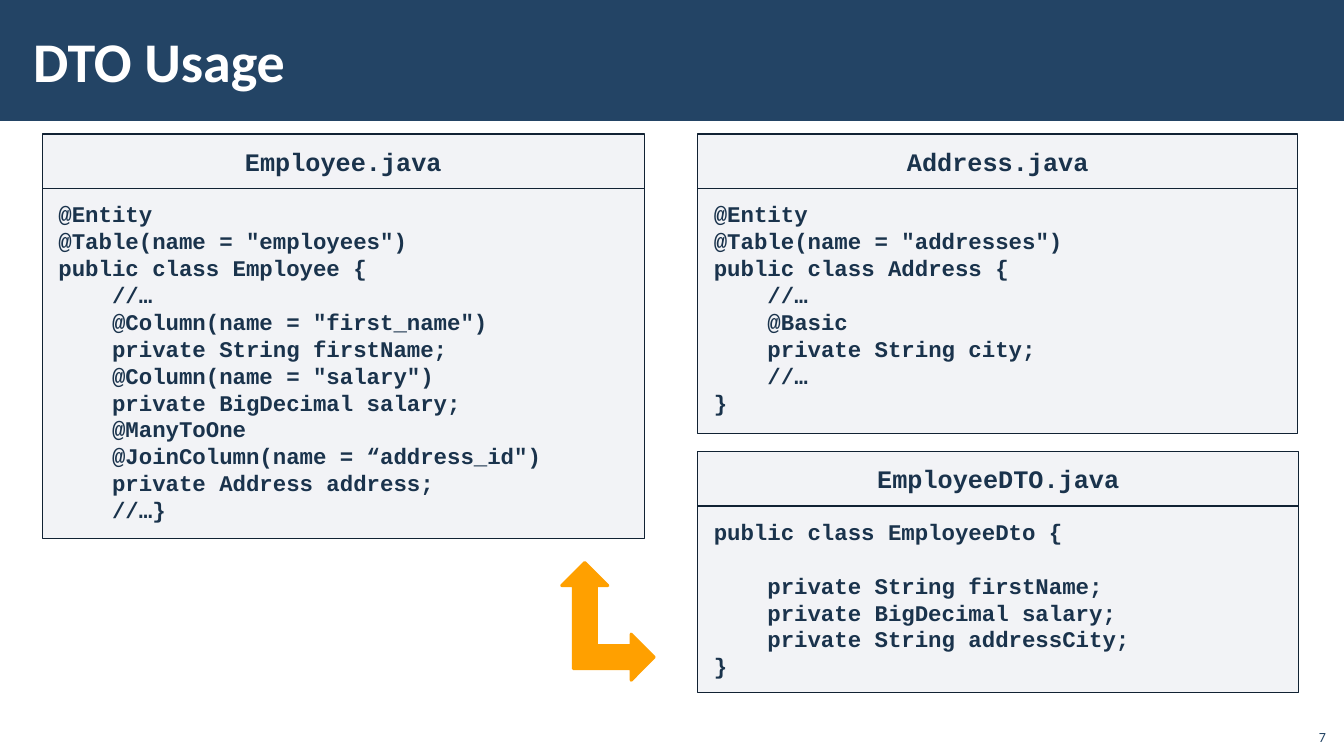
from pptx import Presentation
from pptx.dml.color import RGBColor
from pptx.enum.shapes import MSO_SHAPE as SHAPE
from pptx.enum.text import MSO_ANCHOR as ANCHOR, PP_ALIGN as ALIGN
from pptx.oxml.ns import qn
from pptx.util import Inches, Pt
from lxml import etree

TITLE = "DTO Usage"
PAGE = "7"
COLORS = {"band": "234465", "white": "FFFFFF", "panel": "ADB4C3",
          "border": "112233", "code": "1A334C", "arrow": "FFA000"}

EMPLOYEE = """@Entity
@Table(name = "employees")
public class Employee {
    //…
    @Column(name = "first_name")
    private String firstName;
    @Column(name = "salary")
    private BigDecimal salary;
    @ManyToOne
    @JoinColumn(name = “address_id")
    private Address address;
    //…}"""
ADDRESS = """@Entity
@Table(name = "addresses")
public class Address {
    //…
    @Basic
    private String city;
    //…
}"""
DTO = """public class EmployeeDto {

    private String firstName;
    private BigDecimal salary;
    private String addressCity;
}"""

# file name, code, left, top, width, code height
PANELS = [
    ("Employee.java", EMPLOYEE, 0.42, 1.33, 5.97, 3.47),
    ("Address.java", ADDRESS, 6.92, 1.33, 5.95, 2.43),
    ("EmployeeDTO.java", DTO, 6.92, 4.48, 5.96, 1.85),
]
HEADER_H = 0.54
BLANK_LINE = Pt(19.2)


def rgb(name):
    return RGBColor.from_string(COLORS[name])


def add_shape(slide, kind, box, fill, line=None, weight=1):
    sp = slide.shapes.add_shape(kind, *map(Inches, box))
    sp.shadow.inherit = False
    sp.fill.solid()
    sp.fill.fore_color.rgb = rgb(fill)
    if line:
        sp.line.color.rgb = rgb(line)
        sp.line.width = Pt(weight)
    else:
        sp.line.fill.background()
    return sp


def set_font(p, name, size, color, bold):
    p.font.name = name
    p.font.size = Pt(size)
    p.font.bold = bold
    p.font.color.rgb = rgb(color)


def add_label(slide, text, box, size, color, bold, align, anchor):
    tf = slide.shapes.add_textbox(*map(Inches, box)).text_frame
    tf.word_wrap = True
    tf.vertical_anchor = anchor
    tf.margin_left = tf.margin_right = Inches(0.12 if bold else 0.1)
    p = tf.paragraphs[0]
    p.text = text
    p.alignment = align
    set_font(p, "Calibri", size, color, bold)


def add_code_box(slide, text, box, size, align):
    """Draw a translucent box; an empty code line becomes space before the next."""
    sp = add_shape(slide, SHAPE.RECTANGLE, box, "panel", "border")
    color = sp._element.spPr.find(qn("a:solidFill"))[0]
    etree.SubElement(color, qn("a:alpha")).set("val", "15000")
    tf = sp.text_frame
    tf.word_wrap = True
    tf.vertical_anchor = ANCHOR.TOP
    tf.margin_left = tf.margin_right = Inches(0.16)
    tf.margin_top = tf.margin_bottom = Inches(0.12)
    lines = text.split("\n")
    p = tf.paragraphs[0]
    for i, line in enumerate(lines):
        if not line:
            continue
        if i:
            p = tf.add_paragraph()
            if not lines[i - 1]:
                p.space_before = BLANK_LINE
        p.text = line
        p.alignment = align
        set_font(p, "Courier New", size, "code", True)


def main():
    prs = Presentation()
    prs.slide_width, prs.slide_height = Inches(13.33), Inches(7.5)
    slide = prs.slides.add_slide(prs.slide_layouts[6])

    add_shape(slide, SHAPE.RECTANGLE, (0, 0, 13.33, 1.2), "band")
    add_label(slide, TITLE, (0.21, 0.11, 10.63, 0.97), 40, "white", True,
              ALIGN.LEFT, ANCHOR.MIDDLE)

    for name, code, x, y, w, h in PANELS:
        add_code_box(slide, code, (x, y + HEADER_H, w, h), 16, ALIGN.LEFT)
        add_code_box(slide, name, (x, y, w, HEADER_H), 18, ALIGN.CENTER)

    arrow = add_shape(slide, SHAPE.LEFT_UP_ARROW, (5.57, 5.58, 0.92, 1.17),
                      "arrow", "arrow", 2)
    arrow._element.spPr.find(qn("a:xfrm")).set("flipH", "1")

    add_label(slide, PAGE, (12.85, 7.12, 0.4, 0.32), 10, "band", False,
              ALIGN.RIGHT, ANCHOR.BOTTOM)
    prs.save("out.pptx")


if __name__ == "__main__":
    main()
